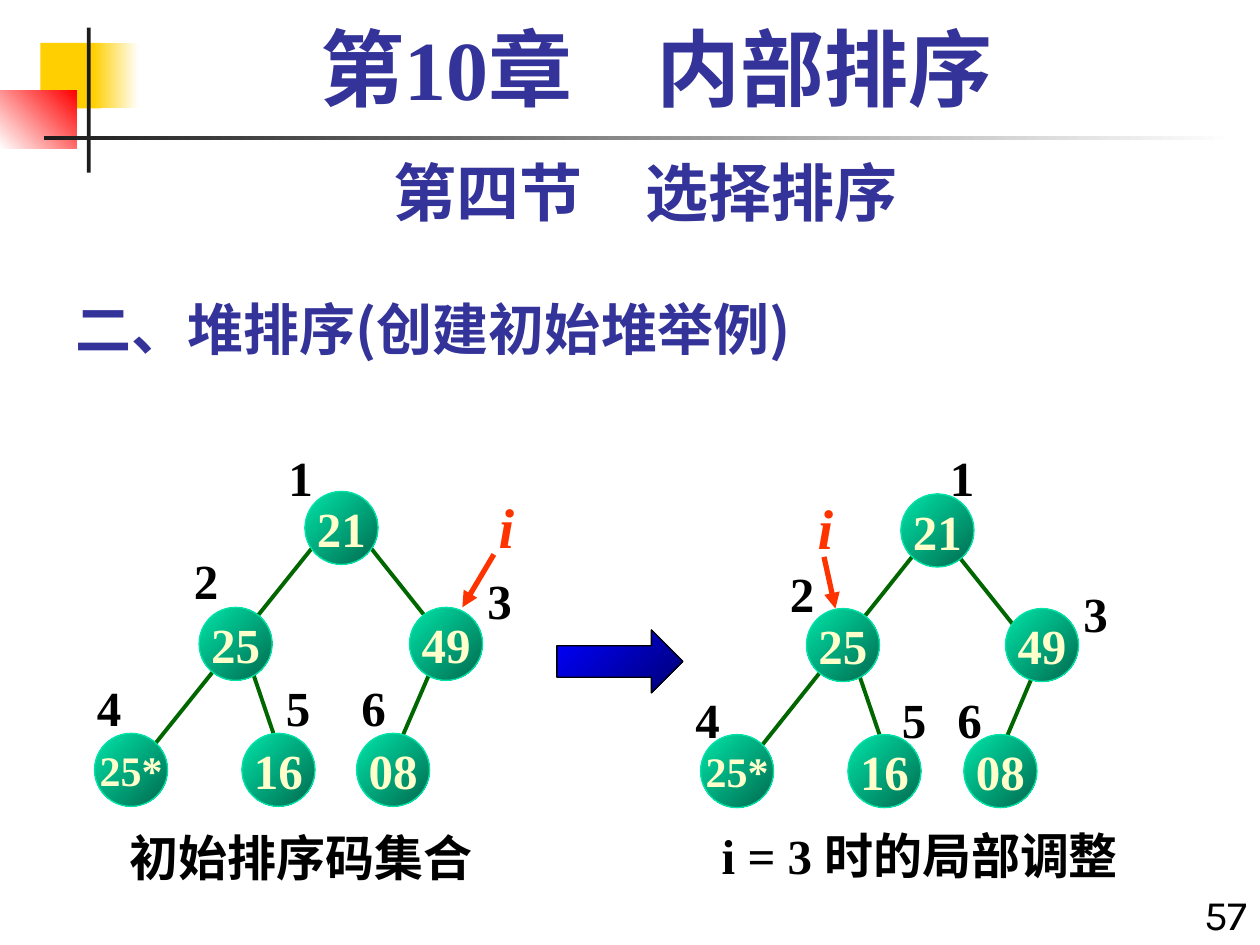
from lxml import etree
from pptx import Presentation
from pptx.dml.color import RGBColor
from pptx.enum import shapes, text
from pptx.oxml.ns import qn
from pptx.util import Inches, Pt

WHITE = RGBColor(0xFF, 0xFF, 0xFF)
BLACK = RGBColor(0x00, 0x00, 0x00)
YELLOW = RGBColor(0xFF, 0xCF, 0x01)
RED = RGBColor(0xFF, 0x00, 0x00)
CHARCOAL = RGBColor(0x1C, 0x1C, 0x1C)
INDIGO = RGBColor(0x33, 0x33, 0x99)
EDGE_GREEN = RGBColor(0x00, 0x66, 0x00)
NODE_LIGHT = RGBColor(0x00, 0xE4, 0xA8)
NODE_DARK = RGBColor(0x00, 0x6A, 0x4E)
CREAM = RGBColor(0xFF, 0xFF, 0xCC)
ORANGE = RGBColor(0xFF, 0x33, 0x00)
BLUE = RGBColor(0x00, 0x00, 0xFF)
NAVY = RGBColor(0x00, 0x00, 0x76)

SERIF = "Times New Roman"
SANS = "Karla"
CJK = "Noto Sans CJK SC"
NODE_SIZE = 0.58
SHAPE = shapes.MSO_SHAPE
ALIGN = text.PP_ALIGN
ANCHOR = text.MSO_ANCHOR

# Tree data: nodes and index labels as (text, left, top), edges as (x1, y1, x2, y2)
INITIAL_TREE = {
    "edges": [(3.42, 5.32, 3.17, 5.9), (2, 5.32, 2.17, 5.82),
              (2.92, 4.32, 3.58, 5.15), (2.5, 4.32, 1.17, 5.98)],
    "nodes": [("21", 2.42, 3.9), ("25", 1.58, 4.82), ("49", 3.25, 4.82),
              ("25*", 0.75, 5.82), ("16", 1.92, 5.82), ("08", 2.83, 5.82)],
    "labels": [("1", 2.19, 3.5), ("2", 1.44, 4.32), ("3", 3.77, 4.48),
               ("4", 0.67, 5.33), ("5", 2.17, 5.33), ("6", 2.77, 5.33)],
    "pointer": (3.86, 3.86),
    "pointer_arrow": (3.92, 4.4, 3.67, 4.82),
}
ADJUSTED_TREE = {
    "edges": [(8.21, 5.33, 7.96, 5.92), (6.81, 5.33, 6.98, 5.83),
              (7.54, 4.33, 8.21, 5.17), (7.31, 4.33, 5.98, 6)],
    "nodes": [("21", 7.15, 3.92), ("25", 6.4, 4.83), ("49", 7.98, 4.83),
              ("25*", 5.56, 5.83), ("16", 6.73, 5.83), ("08", 7.65, 5.83)],
    "labels": [("1", 7.44, 3.5), ("2", 6.17, 4.42), ("3", 8.5, 4.58),
               ("4", 5.42, 5.42), ("5", 7.06, 5.42), ("6", 7.5, 5.42)],
    "pointer": (6.39, 3.87),
    "pointer_arrow": (6.54, 4.42, 6.63, 4.83),
}


def write_text(sp, content, size=28, font=SERIF, color=BLACK, bold=True, italic=False,
               align=ALIGN.LEFT, anchor=ANCHOR.TOP, wrap=False, spacing=None):
    tf = sp.text_frame
    tf.word_wrap = wrap
    tf.vertical_anchor = anchor
    p = tf.paragraphs[0]
    p.alignment = align
    p.line_spacing = spacing
    r = p.add_run()
    r.text = content
    r.font.name = font
    r.font.size = Pt(size)
    r.font.bold = bold
    r.font.italic = italic
    r.font.color.rgb = color
    etree.SubElement(r.font._element, qn("a:ea"), typeface=CJK)


def add_text(s, content, left, top, width, height, **fmt):
    sp = s.shapes.add_textbox(Inches(left), Inches(top), Inches(width), Inches(height))
    write_text(sp, content, **fmt)


def add_filled(s, kind, left, top, width, height, colors, angle=0, line=None):
    """Add a preset shape; two colours make a gradient, its angle counter-clockwise."""
    sp = s.shapes.add_shape(kind, Inches(left), Inches(top), Inches(width), Inches(height))
    sp.shadow.inherit = False
    if len(colors) == 1:
        sp.fill.solid()
        sp.fill.fore_color.rgb = colors[0]
    else:
        sp.fill.gradient()
        sp.fill.gradient_angle = angle
        for stop, color in zip(sp.fill.gradient_stops, colors):
            stop.color.rgb = color
    if line is None:
        sp.line.fill.background()
    else:
        sp.line.color.rgb = line
        sp.line.width = Pt(0.75)
    return sp


def add_line(s, x1, y1, x2, y2, color, width, arrow=False):
    line = s.shapes.add_connector(shapes.MSO_CONNECTOR.STRAIGHT,
                                  Inches(x1), Inches(y1), Inches(x2), Inches(y2))
    line.line.color.rgb = color
    line.line.width = Pt(width)
    if arrow:
        etree.SubElement(line.line._get_or_add_ln(), qn("a:tailEnd"), type="triangle")
    etree.SubElement(line._element.spPr, qn("a:effectLst"))


def add_node(s, key, left, top):
    sp = add_filled(s, SHAPE.OVAL, left, top, NODE_SIZE, NODE_SIZE,
                    (NODE_LIGHT, NODE_DARK), angle=315, line=NODE_LIGHT)
    write_text(sp, key, size=28 if len(key) == 2 else 24, color=CREAM,
               align=ALIGN.CENTER, anchor=ANCHOR.MIDDLE)


def add_tree(s, tree):
    for edge in tree["edges"]:
        add_line(s, *edge, EDGE_GREEN, 2.25)
    for node in tree["nodes"]:
        add_node(s, *node)
    for label in tree["labels"]:
        add_text(s, *label, 0.39, 0.57)
    add_line(s, *tree["pointer_arrow"], ORANGE, 3, arrow=True)
    add_text(s, "i", *tree["pointer"], 0.32, 0.64, size=32, color=ORANGE, italic=True)


def add_decoration(s):
    add_filled(s, SHAPE.RECTANGLE, 0.32, 0.34, 0.48, 0.52, (YELLOW,))
    add_filled(s, SHAPE.RECTANGLE, 0.74, 0.34, 0.36, 0.52, (YELLOW, WHITE))
    add_filled(s, SHAPE.RECTANGLE, 0, 0.72, 0.61, 0.46, (WHITE, RED), angle=45)
    add_filled(s, SHAPE.RECTANGLE, 0.69, 0.22, 0.03, 1.15, (CHARCOAL,))
    add_filled(s, SHAPE.RECTANGLE, 0.35, 1.08, 9.45, 0.03, (CHARCOAL, WHITE))


def add_headings(s):
    add_text(s, "二、堆排序(创建初始堆举例)", 0.5, 2.17, 6.25, 0.75, size=32, font=CJK,
             color=INDIGO, anchor=ANCHOR.BOTTOM, wrap=True)
    add_text(s, "57", 9.33, 7, 0.67, 0.59, size=24, font=SANS, bold=False,
             align=ALIGN.RIGHT, wrap=True)
    add_text(s, "第四节　选择排序", 0.5, 1.17, 9.25, 0.7, size=36, font=SANS,
             color=INDIGO, align=ALIGN.CENTER, wrap=True)
    add_text(s, "第10章　内部排序", 0.67, 0.17, 9.08, 0.83, size=48, color=INDIGO,
             align=ALIGN.CENTER, wrap=True, spacing=0.9)


def main():
    prs = Presentation()
    prs.slide_width, prs.slide_height = Inches(10), Inches(7.5)
    s = prs.slides.add_slide(prs.slide_layouts[6])
    add_decoration(s)
    add_headings(s)
    add_tree(s, INITIAL_TREE)
    add_text(s, "初始排序码集合", 0.93, 6.52, 2.92, 0.57)
    add_tree(s, ADJUSTED_TREE)
    add_text(s, "i = 3 时的局部调整", 5.63, 6.5, 3.44, 0.57)
    add_filled(s, SHAPE.RIGHT_ARROW, 4.42, 5, 1, 0.5, (BLUE, NAVY), angle=315, line=BLACK)
    prs.save("out.pptx")


if __name__ == "__main__":
    main()
